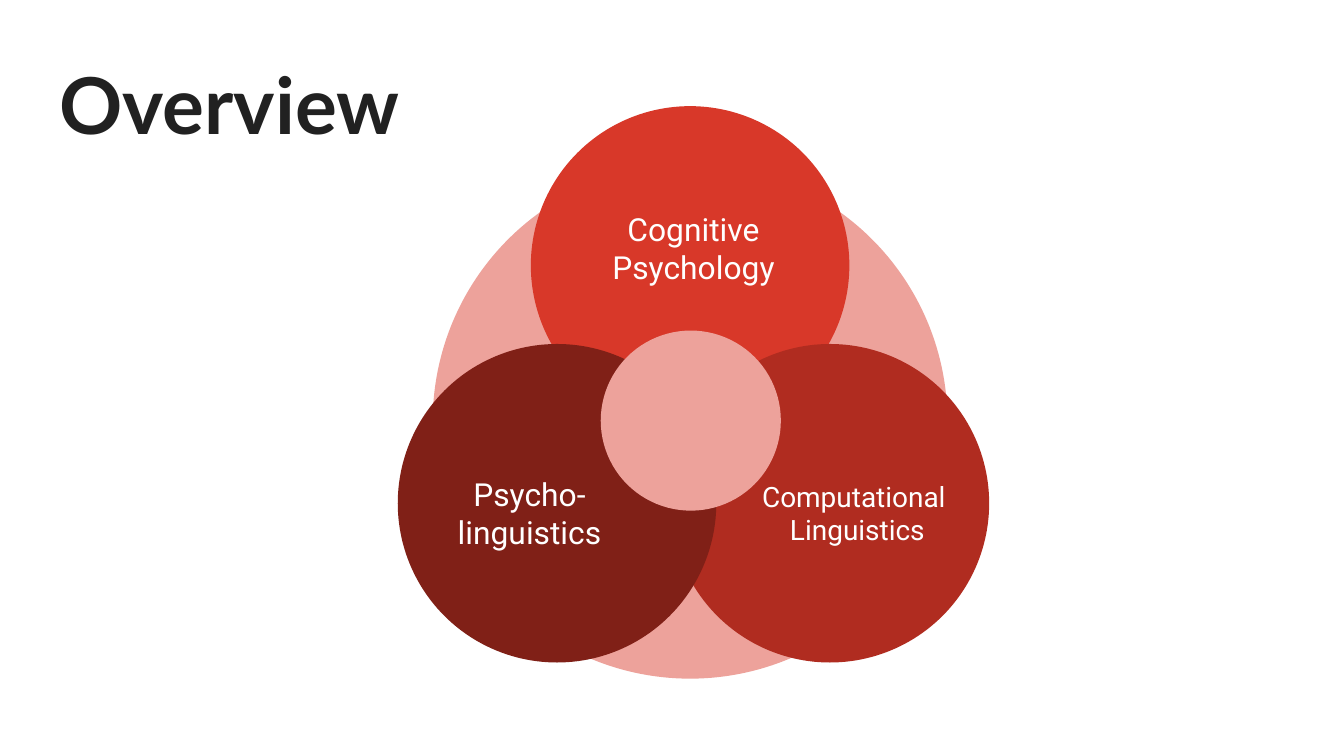
from pptx import Presentation
from pptx.dml.color import RGBColor
from pptx.enum.shapes import MSO_SHAPE
from pptx.enum.text import MSO_ANCHOR, PP_ALIGN
from pptx.util import Inches, Pt

OVAL = MSO_SHAPE.OVAL
TOP, MIDDLE = MSO_ANCHOR.TOP, MSO_ANCHOR.MIDDLE
LEFT, CENTER = PP_ALIGN.LEFT, PP_ALIGN.CENTER

INK = RGBColor(0x21, 0x21, 0x21)
WHITE = RGBColor(0xFF, 0xFF, 0xFF)
PINK = RGBColor(0xED, 0xA2, 0x9B)
RED = RGBColor(0xD8, 0x38, 0x29)
BRICK = RGBColor(0xB0, 0x2C, 0x20)
MAROON = RGBColor(0x80, 0x20, 0x17)

SLIDE_WIDTH = Inches(10)
SLIDE_HEIGHT = SLIDE_WIDTH * 9 // 16
FIELD_DIAMETER = 2.37
LABEL_WIDTH, LABEL_HEIGHT = 1.64, 0.77

# circle left, circle top, colour, label left, label top, label, text size
FIELDS = [
    (3.95, 0.79, RED, 4.34, 1.46, "Cognitive\nPsychology", 17),
    (4.99, 2.56, BRICK, 5.56, 3.43, "Computational \nLinguistics", 15),
    (2.96, 2.56, MAROON, 3.12, 3.43, "Psycho-\nlinguistics", 17),
]


def write_text(shape, text, font_name, size, color, bold, alignment, anchor):
    frame = shape.text_frame
    frame.text = text
    frame.word_wrap = True
    frame.vertical_anchor = anchor
    frame.margin_left = frame.margin_right = Inches(0.1)
    frame.margin_top = frame.margin_bottom = Inches(0.1)
    for paragraph in frame.paragraphs:
        paragraph.alignment = alignment
        paragraph.line_spacing = 1.0
        paragraph.space_before = Pt(0)
        for run in paragraph.runs:
            run.font.name = font_name
            run.font.size = Pt(size)
            run.font.bold = bold
            run.font.color.rgb = color


def add_title(slide, text):
    title = slide.shapes.title
    title.left, title.top = Inches(0.34), Inches(0.32)
    title.width, title.height = Inches(9.32), Inches(0.88)
    write_text(title, text, "Lato", 42, INK, True, LEFT, TOP)


def add_circle(shapes, left, top, diameter, color):
    circle = shapes.add_shape(
        OVAL, Inches(left), Inches(top), Inches(diameter), Inches(diameter)
    )
    circle.shadow.inherit = False
    circle.fill.solid()
    circle.fill.fore_color.rgb = color
    circle.line.fill.background()


def add_field(slide, left, top, color, label_left, label_top, text, size):
    """Group a circle with its label."""
    group = slide.shapes.add_group_shape()
    add_circle(group.shapes, left, top, FIELD_DIAMETER, color)
    label = group.shapes.add_textbox(
        Inches(label_left), Inches(label_top),
        Inches(LABEL_WIDTH), Inches(LABEL_HEIGHT),
    )
    write_text(label, text, "Roboto", size, WHITE, False, CENTER, MIDDLE)


def main():
    presentation = Presentation()
    presentation.slide_width = SLIDE_WIDTH
    presentation.slide_height = SLIDE_HEIGHT
    slide = presentation.slides.add_slide(presentation.slide_layouts[5])

    add_title(slide, "Overview")
    add_circle(slide.shapes, 3.22, 1.22, 3.83, PINK)
    for field in FIELDS:
        add_field(slide, *field)
    add_circle(slide.shapes, 4.47, 2.46, 1.34, PINK)

    presentation.save("out.pptx")


if __name__ == "__main__":
    main()
